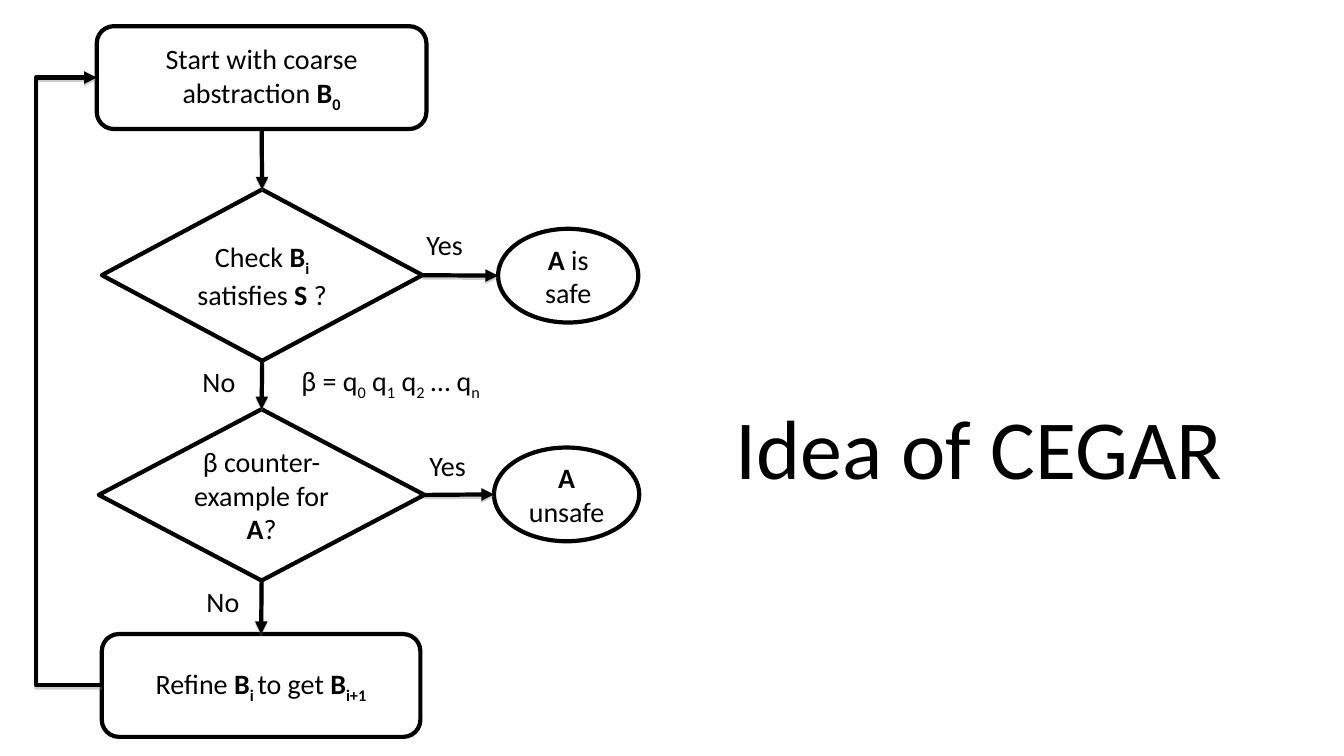
import lxml.etree
import pptx
import pptx.dml.color
import pptx.enum.shapes
import pptx.enum.text
import pptx.oxml.ns
import pptx.util

Inches = pptx.util.Inches
Pt = pptx.util.Pt
SHAPE = pptx.enum.shapes.MSO_SHAPE
CONNECTOR = pptx.enum.shapes.MSO_CONNECTOR
ALIGN = pptx.enum.text.PP_ALIGN
ANCHOR = pptx.enum.text.MSO_ANCHOR
TOP, LEFT, BOTTOM, RIGHT = range(4)
ELLIPSE_LEFT = 2


def color(value):
    return pptx.dml.color.RGBColor.from_string(value)


def child(parent, tag, **attributes):
    return lxml.etree.SubElement(parent, pptx.oxml.ns.qn(tag), **attributes)


class Flowchart:
    """Draws styled flowchart elements on one slide."""

    font = "Calibri"
    ink = "000000"
    paper = "FFFFFF"
    size = 20
    weight = 3

    def __init__(self, page):
        self.page = page

    def fill_text(self, box, runs, size=size, align=ALIGN.CENTER):
        para = box.text_frame.paragraphs[0]
        para.alignment = align
        para.font.name = self.font
        para.font.size = Pt(size)
        para.font.color.rgb = color(self.ink)
        for text, style in runs:
            span = para.add_run()
            span.text = text
            if "b" in style:
                span.font.bold = True
            if "s" in style:
                span.font._element.set("baseline", "-25000")
        return para

    def node(self, kind, left, top, width, height, runs):
        box = self.page.shapes.add_shape(
            kind, Inches(left), Inches(top), Inches(width), Inches(height))
        box.shadow.inherit = False
        box.fill.solid()
        box.fill.fore_color.rgb = color(self.paper)
        box.line.color.rgb = color(self.ink)
        box.line.width = Pt(self.weight)
        box.text_frame.vertical_anchor = ANCHOR.MIDDLE
        self.fill_text(box, runs)
        return box

    def label(self, left, top, width, runs):
        box = self.page.shapes.add_textbox(
            Inches(left), Inches(top), Inches(width), Inches(0.44))
        box.text_frame.word_wrap = False
        self.fill_text(box, runs, align=ALIGN.LEFT)

    def title(self, left, top, width, height, text):
        box = self.page.shapes.add_textbox(
            Inches(left), Inches(top), Inches(width), Inches(height))
        box.text_frame.word_wrap = True
        box.text_frame.vertical_anchor = ANCHOR.BOTTOM
        self.fill_text(box, [(text, "")], size=60).line_spacing = 0.9

    def arrow(self, source, source_side, target, target_side, kind=CONNECTOR.STRAIGHT):
        link = self.page.shapes.add_connector(kind, 0, 0, 0, 0)
        link.begin_connect(source, source_side)
        link.end_connect(target, target_side)
        link.line.color.rgb = color(self.ink)
        link.line.width = Pt(self.weight)
        child(link.line._get_or_add_ln(), "a:tailEnd", type="triangle")
        effects = child(link._element.spPr, "a:effectLst")
        shadow = child(effects, "a:outerShdw", blurRad="0", dist="20000",
                       dir="5400000", rotWithShape="0")
        shade = child(shadow, "a:srgbClr", val="808080")
        child(shade, "a:alpha", val="38000")
        return link

    def loop(self, source, target, lane):
        link = self.arrow(source, LEFT, target, LEFT, CONNECTOR.ELBOW)
        bend = (source.left - Inches(lane)) / (source.left - target.left)
        guides = link._element.spPr.prstGeom.get_or_add_avLst()
        child(guides, "a:gd", name="adj1", fmla=f"val {round(bend * 100000)}")


def main():
    deck = pptx.Presentation()
    deck.slide_width = Inches(13.33)
    deck.slide_height = Inches(7.5)
    chart = Flowchart(deck.slides.add_slide(deck.slide_layouts[6]))

    start = chart.node(SHAPE.ROUNDED_RECTANGLE, 0.96, 0.26, 3.27, 1.02, [
        ("Start with coarse abstraction ", ""), ("B", "b"), ("0", "bs")])
    check = chart.node(SHAPE.DIAMOND, 1.01, 1.88, 3.18, 1.7, [
        ("Check ", ""), ("B", "b"), ("i", "bs"),
        (" satisfies ", ""), ("S ", "b"), ("?", "")])
    counter = chart.node(SHAPE.DIAMOND, 0.98, 4.06, 3.23, 1.7, [
        ("β counter-example for ", ""), ("A", "b"), ("?", "")])
    refine = chart.node(SHAPE.ROUNDED_RECTANGLE, 1.01, 6.29, 3.16, 1.02, [
        ("Refine ", ""), ("B", "b"), ("i ", "bs"),
        ("to get ", ""), ("B", "b"), ("i+1", "bs")])
    safe = chart.node(SHAPE.OVAL, 4.94, 2.27, 1.39, 0.93, [
        ("A", "b"), (" is safe", "")])
    unsafe = chart.node(SHAPE.OVAL, 4.9, 4.44, 1.44, 0.93, [
        ("A", "b"), (" unsafe", "")])

    steps = [start, check, counter, refine]
    for upper, lower in zip(steps, steps[1:]):
        chart.arrow(upper, BOTTOM, lower, TOP)
    for decision, outcome in [(check, safe), (counter, unsafe)]:
        link = chart.arrow(decision, RIGHT, outcome, LEFT)
        link._element.nvCxnSpPr.cNvCxnSpPr.endCxn.set("idx", str(ELLIPSE_LEFT))
    chart.loop(refine, start, 0.36)

    for text, left, top, width in [
            ("Yes", 4.13, 2.21, 0.57), ("No", 1.91, 3.57, 0.53),
            ("Yes", 4.16, 4.4, 0.57), ("No", 1.95, 5.75, 0.53)]:
        chart.label(left, top, width, [(text, "")])
    chart.label(2.89, 3.56, 2.04, [
        ("β = q", ""), ("0", "s"), (" q", ""), ("1", "s"),
        (" q", ""), ("2", "s"), (" … q", ""), ("n", "s")])
    chart.title(7.01, 1.87, 5.4, 3.12, "Idea of CEGAR")

    deck.save("out.pptx")


if __name__ == "__main__":
    main()
